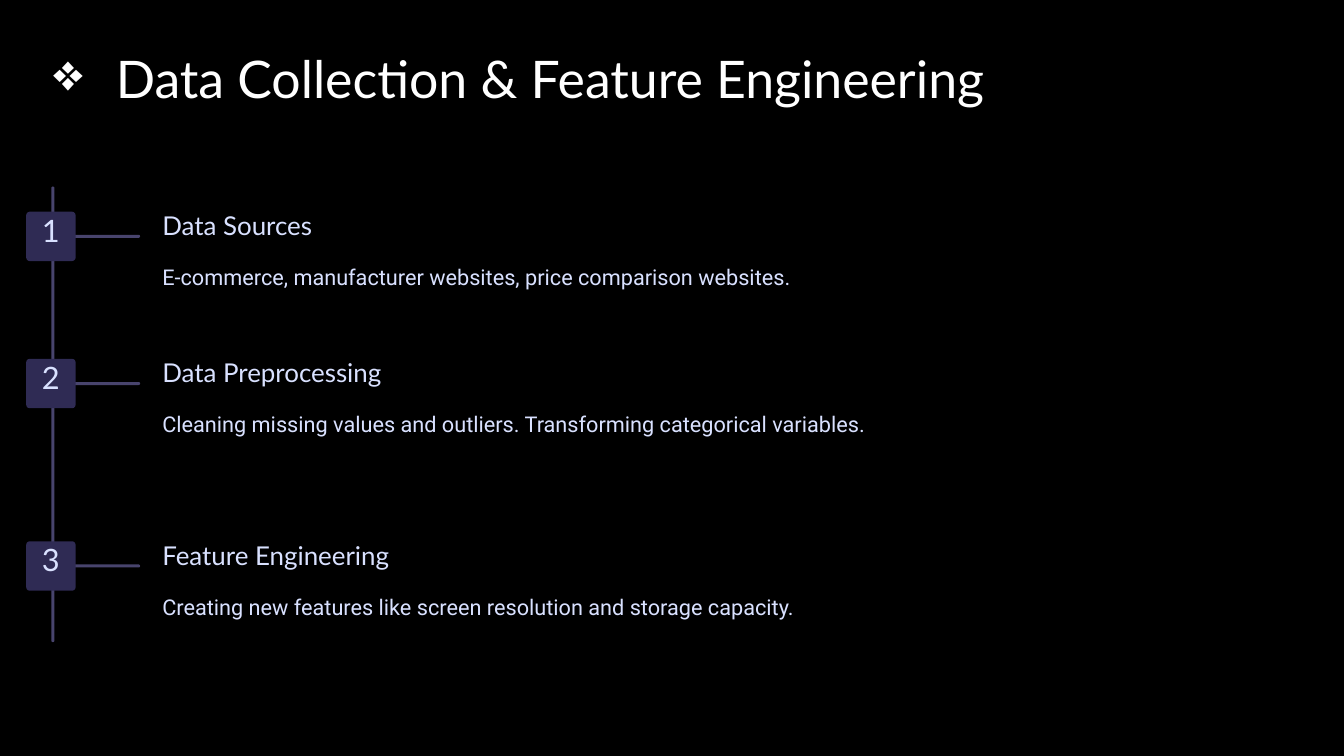
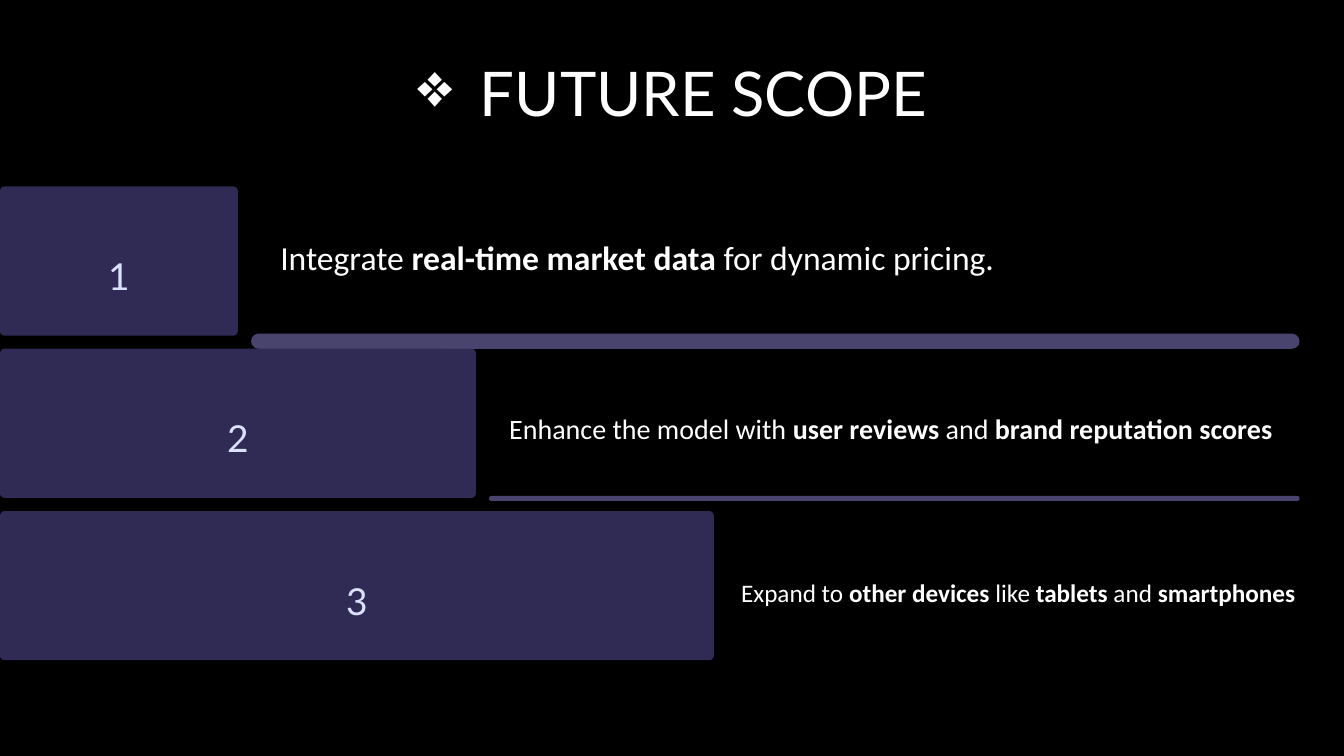
import dataclasses

import lxml.etree
import pptx
import pptx.dml.color
import pptx.enum.shapes
import pptx.enum.text
import pptx.oxml.ns
import pptx.util

Inches = pptx.util.Inches
Pt = pptx.util.Pt
ALIGN = pptx.enum.text.PP_ALIGN


@dataclasses.dataclass(frozen=True)
class Style:
    """Font, size, line spacing and colour of a kind of text."""

    font: str
    size: float
    lead: float
    color: str


@dataclasses.dataclass(frozen=True)
class Theme:
    """Colours and type sizes of the deck."""

    back: str = "000000"
    block: str = "2F2B54"
    line: str = "48446D"
    title: Style = Style("Lato", 37, 46, "FFFFFF")
    banner: Style = Style("Lato", 44, 55, "FFFFFF")
    badge: Style = Style("Lato", 22, 22, "D9E1FF")
    head: Style = Style("Lato", 18.5, 23, "D9E1FF")
    body: Style = Style("Roboto", 15.5, 25, "D9E1FF")
    step: Style = Style("Lato", 26.5, 42, "D9E1FF")
    scope: Style = Style("Calibri", 24, 27.5, "FFFFFF")


THEME = Theme()
WIDTH, HEIGHT = 13.33, 7.5

STAGES = [
    ("Data Sources", "E-commerce, manufacturer websites, price comparison websites.", 1),
    ("Data Preprocessing",
     "Cleaning missing values and outliers. Transforming categorical variables.", 2),
    ("Feature Engineering",
     "Creating new features like screen resolution and storage capacity.", 1),
]

GOALS = [
    ("Integrate *real-time market data* for dynamic pricing.", 24, 0.42, 0.52, 0.15),
    ("Enhance the model with *user reviews* and *brand reputation scores*", 20, 0.33, 0.57, 0.05),
    ("Expand to *other devices* like *tablets* and *smartphones*", 18, 0.27, 0.58, 0),
]


def tint(text):
    """Turn a hex string into a colour."""
    return pptx.dml.color.RGBColor.from_string(text)


def write(shape, text, style, align=ALIGN.LEFT, top=0, mark=None):
    """Fill a shape with one paragraph, with bold parts between asterisks."""
    frame = shape.text_frame
    frame.word_wrap = True
    frame.vertical_anchor = pptx.enum.text.MSO_ANCHOR.TOP
    frame.margin_left = frame.margin_right = frame.margin_bottom = 0
    frame.margin_top = Inches(top)
    para = frame.paragraphs[0]
    para.alignment = align
    para.line_spacing = Pt(style.lead)
    if mark:
        props = para._p.get_or_add_pPr()
        props.set("marL", str(Inches(0.62)))
        props.set("indent", str(Inches(-0.62)))
        lxml.etree.SubElement(props, pptx.oxml.ns.qn("a:buChar")).set("char", mark)
    para.font.name = style.font
    para.font.size = Pt(style.size)
    para.font.color.rgb = tint(style.color)
    for index, part in enumerate(text.split("*")):
        if part:
            run = para.add_run()
            run.text = part
            if index % 2:
                run.font.bold = True


def label(slide, box, text, style, mark=None):
    """Add a text box."""
    shape = slide.shapes.add_textbox(*map(Inches, box))
    write(shape, text, style, mark=mark)


def panel(slide, box, color, round=0.5):
    """Add a plain rounded bar or block."""
    kind = pptx.enum.shapes.MSO_SHAPE.ROUNDED_RECTANGLE
    shape = slide.shapes.add_shape(kind, *map(Inches, box))
    shape.adjustments[0] = round
    shape.shadow.inherit = False
    shape.fill.solid()
    shape.fill.fore_color.rgb = tint(color)
    shape.line.fill.background()
    return shape


def start(deck, title, box, style):
    """Add a dark slide with its marked title."""
    slide = deck.slides.add_slide(deck.slide_layouts[6])
    slide.background.fill.solid()
    slide.background.fill.fore_color.rgb = tint(THEME.back)
    label(slide, box, title, style, mark="❖")
    return slide


def stage(slide, left, top, number, head, body, lines):
    """Place one numbered stage and return its height."""
    tall = 0.35 * lines
    panel(slide, (left + 0.47, top + 0.26, 0.66, 0.03), THEME.line)
    badge = panel(slide, (left, top + 0.03, 0.49, 0.49), THEME.block, 0.07)
    write(badge, str(number), THEME.badge, ALIGN.CENTER, 0.05)
    label(slide, (left + 1.35, top, 2.58, 0.32), head, THEME.head)
    label(slide, (left + 1.35, top + 0.46, 7.12, tall), body, THEME.body)
    return 0.46 + tall


def timeline(slide, left, top, tall):
    """Place the upright line and its stages."""
    panel(slide, (left + 0.25, top, 0.03, tall), THEME.line)
    row = top + 0.22
    for number, item in enumerate(STAGES, 1):
        row += stage(slide, left, row, number, *item) + 0.65


def stairs(slide, left, top, right):
    """Place the widening blocks with a goal beside each."""
    for number, (text, size, gap, drop, thick) in enumerate(GOALS, 1):
        row = top + 1.61 * (number - 1)
        wide = 2.36 * number
        edge = left + wide
        block = panel(slide, (left, row, wide, 1.48), THEME.block, 0.03)
        write(block, str(number), THEME.step, ALIGN.CENTER, 0.51)
        style = dataclasses.replace(THEME.scope, size=size)
        label(slide, (edge + gap, row + drop, WIDTH - edge - gap, 0.38), text, style)
        if thick:
            panel(slide, (edge + 0.13, row + 1.46, right - edge - 0.13, thick), THEME.line)


def main():
    """Build and save the deck."""
    deck = pptx.Presentation()
    deck.slide_width, deck.slide_height = Inches(WIDTH), Inches(HEIGHT)
    slide = start(deck, "Data Collection & Feature Engineering",
                  (0.53, 0.44, 12.27, 1.29), THEME.title)
    timeline(slide, 0.26, 1.85, 4.52)
    slide = start(deck, "FUTURE SCOPE", (4.14, 0.51, 7.46, 0.77), THEME.banner)
    stairs(slide, 0, 1.85, 12.89)
    deck.save("out.pptx")


if __name__ == "__main__":
    main()
